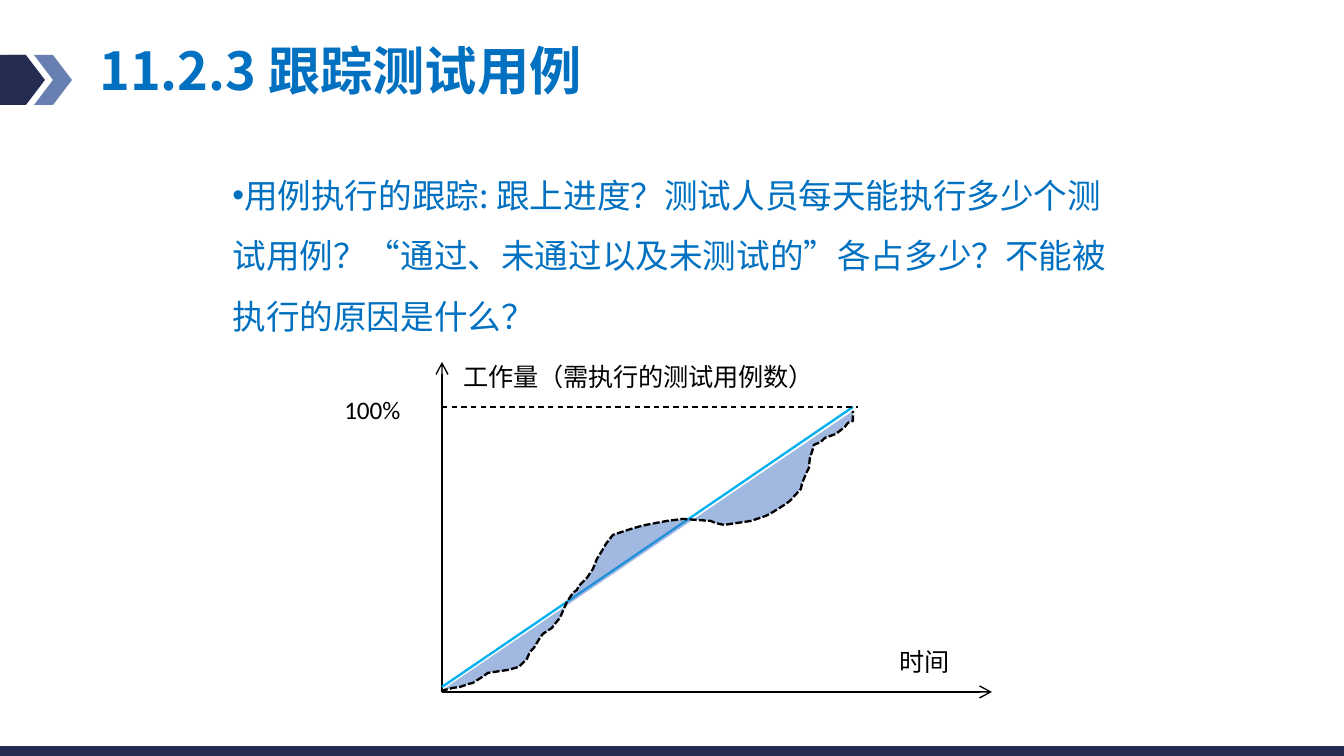
"""Build the slide on tracking test cases, with its progress diagram."""
from lxml.etree import SubElement
from pptx import Presentation
from pptx.dml.color import RGBColor
from pptx.enum.dml import MSO_LINE
from pptx.enum.shapes import MSO_CONNECTOR, MSO_SHAPE
from pptx.enum.text import MSO_ANCHOR, MSO_AUTO_SIZE, PP_ALIGN
from pptx.oxml.ns import qn
from pptx.util import Pt

PX = 914400 / 134.4
SANS = "Noto Sans CJK SC"
HUES = {
    "navy": "242C52",
    "slate": "6880B1",
    "blue": "0070C0",
    "sky": "00B0F0",
    "area": "4472C4",
    "black": "000000",
}
COLOR = {name: RGBColor.from_string(code) for name, code in HUES.items()}


def emu(*sizes):
    return [round(size * PX) for size in sizes]


def write(shape, text, size, hue="black", font=SANS, bold=False, anchor=MSO_ANCHOR.TOP, space=1.0):
    frame = shape.text_frame
    frame.word_wrap = True
    frame.auto_size = MSO_AUTO_SIZE.NONE
    frame.vertical_anchor = anchor
    para = frame.paragraphs[0]
    para.alignment = PP_ALIGN.LEFT
    para.line_spacing = space
    run = para.add_run()
    run.text = text
    run.font.name = font
    run.font.size = Pt(size)
    run.font.bold = bold
    run.font.color.rgb = COLOR[hue]
    SubElement(run._r.rPr, qn("a:ea"), typeface=SANS)
    return para


deck = Presentation()
deck.slide_width, deck.slide_height = emu(1344, 756)
slide = deck.slides.add_slide(deck.slide_layouts[1])
shapes = slide.shapes

marks = [
    (MSO_SHAPE.RECTANGLE, 0, 55, 26, 50, "navy"),
    (MSO_SHAPE.CHEVRON, 34, 55, 38, 50, "slate"),
    (MSO_SHAPE.CHEVRON, 7, 55, 38, 50, "navy"),
    (MSO_SHAPE.RECTANGLE, 0, 746, 1344, 10, "navy"),
]
for kind, *box, hue in marks:
    mark = shapes.add_shape(kind, *emu(*box))
    mark.shadow.inherit = False
    mark.fill.solid()
    mark.fill.fore_color.rgb = COLOR[hue]
    mark.line.fill.background()

title = shapes.title
title.left, title.top, title.width, title.height = emu(86, 36, 780, 76)
write(title, "11.2.3 跟踪测试用例", 28, "blue", bold=True, anchor=MSO_ANCHOR.MIDDLE, space=0.9)

body = slide.placeholders[1]
body.left, body.top, body.width, body.height = emu(219, 148, 921, 207)
para = write(
    body,
    "用例执行的跟踪: 跟上进度？测试人员每天能执行多少个测试用例？“通过、未通过以及未测试的”各占多少？不能被执行的原因是什么？",
    18,
    "blue",
    space=1.5,
)
para.space_before = Pt(7.5)
props = para._p.get_or_add_pPr()
props.set("marL", "0")
props.set("indent", "0")
SubElement(props, qn("a:buFont"), typeface="Arial")
SubElement(props, qn("a:buChar"), char="•")

lines = [
    (442, 692, 992, 692, "black", 0.75, None, True),
    (442, 692, 442, 362, "black", 0.75, None, True),
    (442, 687, 853, 407, "sky", 1.25, None, False),
    (442, 407, 858, 407, "black", 0.75, MSO_LINE.DASH, False),
]
for *ends, hue, width, dash, arrow in lines:
    line = shapes.add_connector(MSO_CONNECTOR.STRAIGHT, *emu(*ends))
    line.line.color.rgb = COLOR[hue]
    line.line.width = Pt(width)
    if dash:
        line.line.dash_style = dash
    if arrow:
        SubElement(line.line._get_or_add_ln(), qn("a:tailEnd"), type="arrow")
    SubElement(line._element.spPr, qn("a:effectLst"))

points = [
    (441, 691), (453, 688), (460, 687), (469, 684), (473, 683), (484, 676),
    (488, 673), (508, 670), (519, 667), (527, 659), (530, 652), (534, 648),
    (540, 638), (543, 634), (552, 628), (555, 624), (560, 618), (567, 602),
    (573, 593), (577, 590), (579, 586), (587, 578), (593, 569), (597, 559),
    (602, 551), (606, 544), (613, 535), (628, 530), (638, 527), (646, 525),
    (667, 521), (683, 519), (711, 521), (715, 523), (724, 525), (751, 521),
    (766, 516), (775, 511), (786, 504), (790, 501), (801, 489), (802, 484),
    (806, 474), (809, 468), (810, 458), (813, 449), (814, 445), (821, 442),
    (825, 438), (836, 434), (845, 427), (848, 423), (853, 421), (853, 411),
]
path = shapes.build_freeform(*points[0], scale=PX)
path.add_line_segments(points[1:], close=False)
curve = path.convert_to_shape()
curve.shadow.inherit = False
curve.fill.solid()
curve.fill.fore_color.rgb = COLOR["area"]
tint = curve._element.spPr.find(qn("a:solidFill"))[0]
SubElement(tint, qn("a:alpha"), val="50000")
curve.line.color.rgb = COLOR["black"]
curve.line.width = Pt(1.25)
curve.line.dash_style = MSO_LINE.SQUARE_DOT

labels = [
    (331, 388, 106, 44, "100%"),
    (450, 355, 380, 44, "工作量（需执行的测试用例数）"),
    (886, 640, 87, 44, "时间"),
]
for *box, text in labels:
    write(shapes.add_textbox(*emu(*box)), text, 13.5, font="Calibri")

deck.save("out.pptx")
